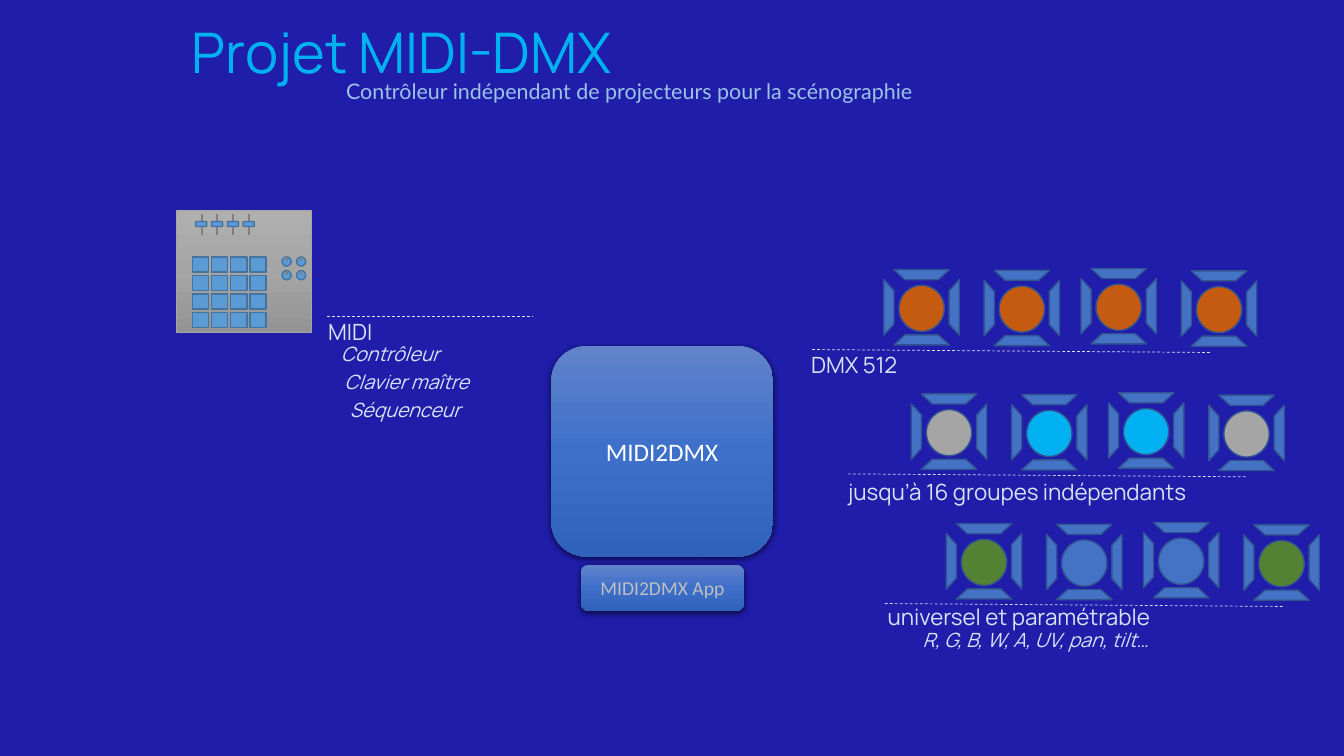
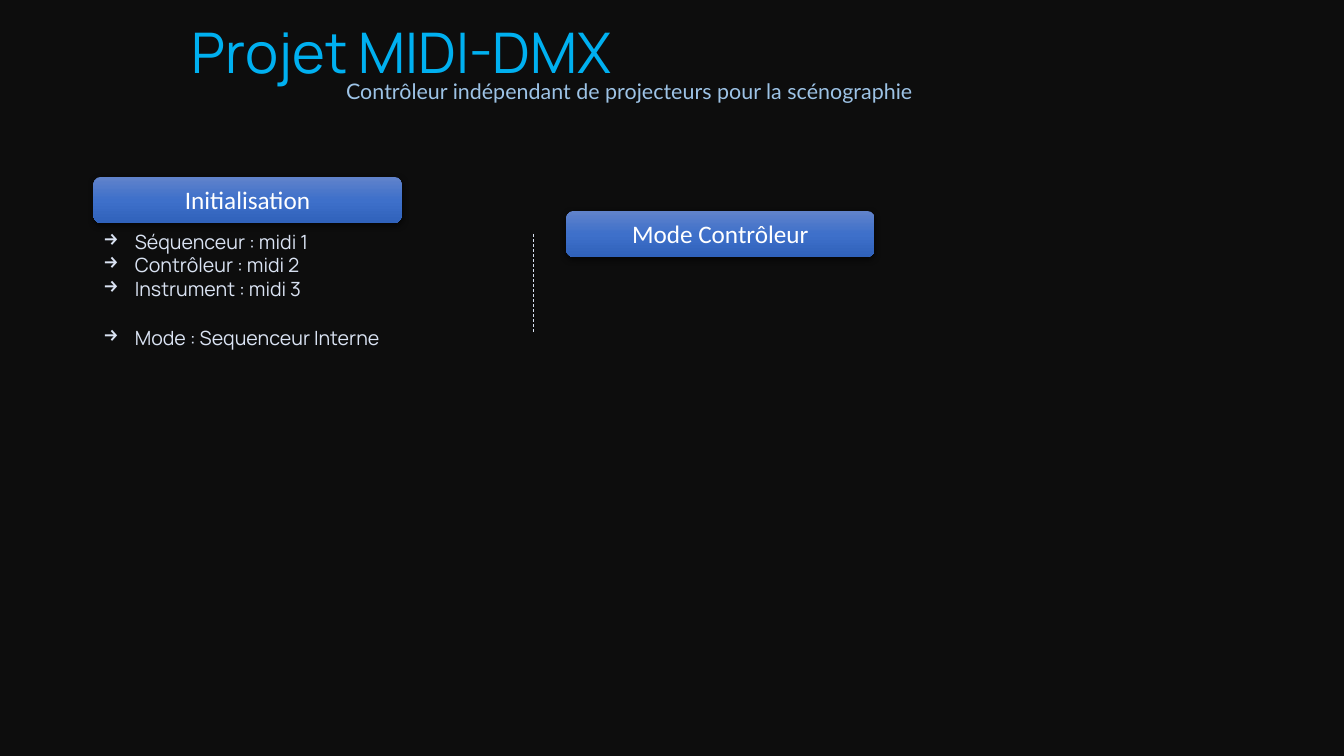
import math
import lxml.etree
import pptx
import pptx.dml.color
import pptx.enum.dml
import pptx.enum.shapes
import pptx.enum.text
import pptx.oxml.ns
import pptx.util

Pt = pptx.util.Pt
SHAPE = pptx.enum.shapes.MSO_SHAPE
ALIGN = pptx.enum.text.PP_ALIGN
ANCHOR = pptx.enum.text.MSO_ANCHOR

COLOURS = {
    "stage": "1F1DAA", "night": "0D0D0D", "title": "00B0F0", "subtitle": "9DC3E6",
    "text": "DAE3F3", "white": "FFFFFF", "muted": "BFBFBF", "shadow": "000000",
    "key": "5B9BD5", "key_edge": "43739E", "track": "808080", "grey": "A5A5A5",
    "lamp": "4472C4", "lamp_edge": "325491", "orange": "C55A11",
    "cyan": "00B0F0", "green": "548235",
}
GRADIENTS = {
    "button": ("6183CB", "3E70CA", "3062BB"),
    "console": ("AFAFAF", "A5A5A5", "939393"),
}
FORMATS = {
    "title": {"name": "Manrope", "size": Pt(40)},
    "subtitle": {"name": "Lato", "size": Pt(15.3)},
    "label": {"name": "Manrope", "size": Pt(16)},
    "detail": {"name": "Manrope", "size": Pt(14), "italic": True},
    "list": {"name": "Manrope", "size": Pt(14)},
    "button": {"name": "Calibri", "size": Pt(18)},
    "small_button": {"name": "Calibri", "size": Pt(14)},
}


def rgb(colour):
    """Return the named colour as an RGB value."""
    return pptx.dml.color.RGBColor.from_string(COLOURS[colour])


def add_xml(parent, tag, **attributes):
    """Append a DrawingML element and return it."""
    name = pptx.oxml.ns.qn("a:" + tag)
    return lxml.etree.SubElement(parent, name, {k: str(v) for k, v in attributes.items()})


def set_all(target, values):
    """Set each attribute of the target from a dict."""
    for name, value in values.items():
        setattr(target, name, value)


class Deck:
    """The presentation, its style and the current page."""

    def __init__(self):
        """Start a widescreen deck."""
        self.deck = pptx.Presentation()
        set_all(self.deck, {"slide_width": Pt(960), "slide_height": Pt(540)})
        self.page = None

    def add_page(self, background):
        """Add a page with the shared title and subtitle."""
        self.page = self.deck.slides.add_slide(self.deck.slide_layouts[0])
        self.page.background.fill.solid()
        self.page.background.fill.fore_color.rgb = rgb(background)
        title, subtitle = self.page.placeholders
        self.place(title, 14.4, 15.1, 545, 49.7)
        self.place(subtitle, 164.9, 55.4, 569.5, 33.1)
        self.fill_text(title, ["Projet MIDI-DMX"], "title", "title",
                       {"alignment": ALIGN.CENTER, "line_spacing": 0.9}, ANCHOR.BOTTOM)
        self.fill_text(subtitle, ["Contrôleur indépendant de projecteurs pour la scénographie"],
                       "subtitle", "subtitle",
                       {"alignment": ALIGN.CENTER, "line_spacing": 0.8, "space_before": Pt(10)})

    def place(self, box, left, top, width, height):
        """Move and size a box."""
        set_all(box, {"left": Pt(left), "top": Pt(top),
                      "width": Pt(width), "height": Pt(height)})

    def fill_text(self, box, lines, style, colour, layout, anchor=ANCHOR.TOP):
        """Fill a box with one paragraph per line."""
        frame = box.text_frame
        set_all(frame, {"word_wrap": True, "vertical_anchor": anchor,
                        "auto_size": pptx.enum.text.MSO_AUTO_SIZE.NONE})
        for number, line in enumerate(lines):
            para = frame.add_paragraph() if number else frame.paragraphs[0]
            set_all(para, layout)
            span = para.add_run()
            span.text = line
            set_all(span.font, FORMATS[style])
            span.font.color.rgb = rgb(colour)

    def text(self, lines, left, top, width, height, style="label"):
        """Add a plain text box."""
        box = self.page.shapes.add_textbox(Pt(left), Pt(top), Pt(width), Pt(height))
        self.fill_text(box, lines, style, "text", {"alignment": ALIGN.LEFT})
        return box

    def arrow_list(self, lines, left, top, width, height):
        """Add a list with arrow bullets."""
        box = self.text(lines, left, top, width, height, "list")
        for para in box.text_frame.paragraphs:
            properties = para._p.get_or_add_pPr()
            properties.set("marL", str(Pt(22.5)))
            properties.set("indent", str(-Pt(22.5)))
            add_xml(properties, "buChar", char="→")

    def shape(self, kind, left, top, width, height, fill=None, edge=None, weight=1):
        """Add a preset shape with a plain fill and edge."""
        shape = self.page.shapes.add_shape(kind, Pt(left), Pt(top), Pt(width), Pt(height))
        shape.shadow.inherit = False
        if fill:
            shape.fill.solid()
            shape.fill.fore_color.rgb = rgb(fill)
        if edge:
            shape.line.color.rgb = rgb(edge)
            shape.line.width = Pt(weight)
        else:
            shape.line.fill.background()
        return shape

    def shade(self, shape, gradient):
        """Give a shape a three-stop gradient running down."""
        shape.fill.gradient()
        shape.fill.gradient_angle = 270
        stops = shape._element.spPr.find(".//" + pptx.oxml.ns.qn("a:gsLst"))
        for stop in list(stops):
            stops.remove(stop)
        for number, colour in enumerate(GRADIENTS[gradient]):
            add_xml(add_xml(stops, "gs", pos=number * 50000), "srgbClr", val=colour)

    def button(self, label, left, top, width, height, style="button", colour="white"):
        """Add a rounded, shaded button with a soft shadow."""
        button = self.shape(SHAPE.ROUNDED_RECTANGLE, left, top, width, height)
        self.shade(button, "button")
        effects = button._element.spPr.find(pptx.oxml.ns.qn("a:effectLst"))
        shadow = add_xml(effects, "outerShdw", blurRad=Pt(4.5), dist=Pt(1.5),
                         dir=5400000, algn="ctr", rotWithShape=0)
        add_xml(add_xml(shadow, "srgbClr", val=COLOURS["shadow"]), "alpha", val=63000)
        self.fill_text(button, [label], style, colour, {"alignment": ALIGN.CENTER}, ANCHOR.MIDDLE)

    def line(self, start_x, start_y, end_x, end_y, colour="text", weight=0.5, dashed=True):
        """Add a straight line."""
        line = self.page.shapes.add_connector(
            pptx.enum.shapes.MSO_CONNECTOR.STRAIGHT,
            Pt(start_x), Pt(start_y), Pt(end_x), Pt(end_y))
        line.line.color.rgb = rgb(colour)
        line.line.width = Pt(weight)
        if dashed:
            line.line.dash_style = pptx.enum.dml.MSO_LINE.DASH
        add_xml(line._element.spPr, "effectLst")

    def track(self, x, top, bottom):
        """Add a short grey control mark."""
        self.line(x, top, x, bottom, "track", 1.5, False)

    def key(self, kind, left, top, width, height):
        """Add one control of the console."""
        self.shape(kind, left, top, width, height, "key", "key_edge")

    def console(self):
        """Draw the controller with its pads, faders and knobs."""
        body = self.shape(SHAPE.RECTANGLE, 126, 150.3, 96.5, 87.3, edge="grey", weight=0.5)
        self.shade(body, "console")
        for column in range(4):
            for row in range(4):
                self.key(SHAPE.RECTANGLE, 137.5 + 13.65 * column, 183.5 + 13.25 * row, 11.6, 10.8)
            self.track(144 + 11.3 * column, 152.6, 167.8)
            self.key(SHAPE.ROUNDED_RECTANGLE, 139.8 + 11.3 * column, 158.2, 7.9, 3.6)
        for column in range(2):
            for row in range(2):
                left, top = 201.4 + 10.4 * column, 183.5 + 9.8 * row
                self.key(SHAPE.OVAL, left, top, 6.6, 6.6)
                self.track(left + 3.3, top, top + 3)

    def spotlight(self, x, y, colour):
        """Draw a lamp with four shutters around its centre."""
        self.shape(SHAPE.OVAL, x - 16.2, y - 15.7, 32.4, 33, colour, "lamp_edge")
        for turn in range(0, 360, 90):
            angle = math.radians(turn)
            flap_x, flap_y = x + 23.3 * math.sin(angle), y - 23.3 * math.cos(angle)
            flap = self.shape(SHAPE.FLOWCHART_MANUAL_OPERATION, flap_x - 19.8, flap_y - 3.6,
                              39.6, 7.2, "lamp", "lamp_edge")
            flap.rotation = turn

    def spotlight_row(self, x, y, rule_x, colours):
        """Draw four spotlights over a dashed rule."""
        offsets = ((0, 0), (71.6, 0.5), (140.8, -0.8), (212.5, 0.9))
        for (across, down), colour in zip(offsets, colours):
            self.spotlight(x + across, y + down, colour)
        self.line(rule_x, y + 30.2, rule_x + 285, y + 32.3)


show = Deck()

show.add_page("stage")
show.button("MIDI2DMX", 393.8, 247, 158.4, 150.5)
show.button("MIDI2DMX App", 414.9, 403.4, 116.6, 33, "small_button", "muted")
show.console()
show.line(233.5, 226.1, 380.9, 226.1)
show.text(["MIDI"], 227.3, 223.8, 101.5, 26.6)
for word, left, top in (("Contrôleur", 236.4, 240.5), ("Clavier maître", 239, 260.6),
                        ("Séquenceur", 242.8, 280.7)):
    show.text([word], left, top, 126.7, 24.2, "detail")
show.spotlight_row(658.3, 219.5, 580.1, ["orange"] * 4)
show.spotlight_row(677.9, 308.3, 605.6, ["grey", "cyan", "cyan", "grey"])
show.spotlight_row(702.9, 400.9, 632, ["green", "lamp", "lamp", "green"])
for label, left, top, width in (("DMX 512", 572.3, 247.2, 101.5),
                                ("jusqu’à 16 groupes indépendants", 598.5, 338.2, 352.8),
                                ("universel et paramétrable", 627, 427.6, 308.2)):
    show.text([label], left, top, width, 26.6)
show.text(["R, G, B, W, A, UV, pan, tilt…"], 652, 444.8, 308, 24.2, "detail")

show.add_page("night")
show.button("Initialisation", 66.7, 126.3, 220.3, 33)
show.arrow_list(["Séquenceur : midi 1", "Contrôleur : midi 2", "Instrument : midi 3"],
                66.7, 160.6, 220.3, 58.2)
show.arrow_list(["Mode : Sequenceur Interne"], 66.7, 229.1, 220.3, 24.2)
show.line(380.9, 167, 380.9, 237.6)
show.button("Mode Contrôleur", 404.4, 150.6, 220.3, 33)

show.deck.save("out.pptx")
